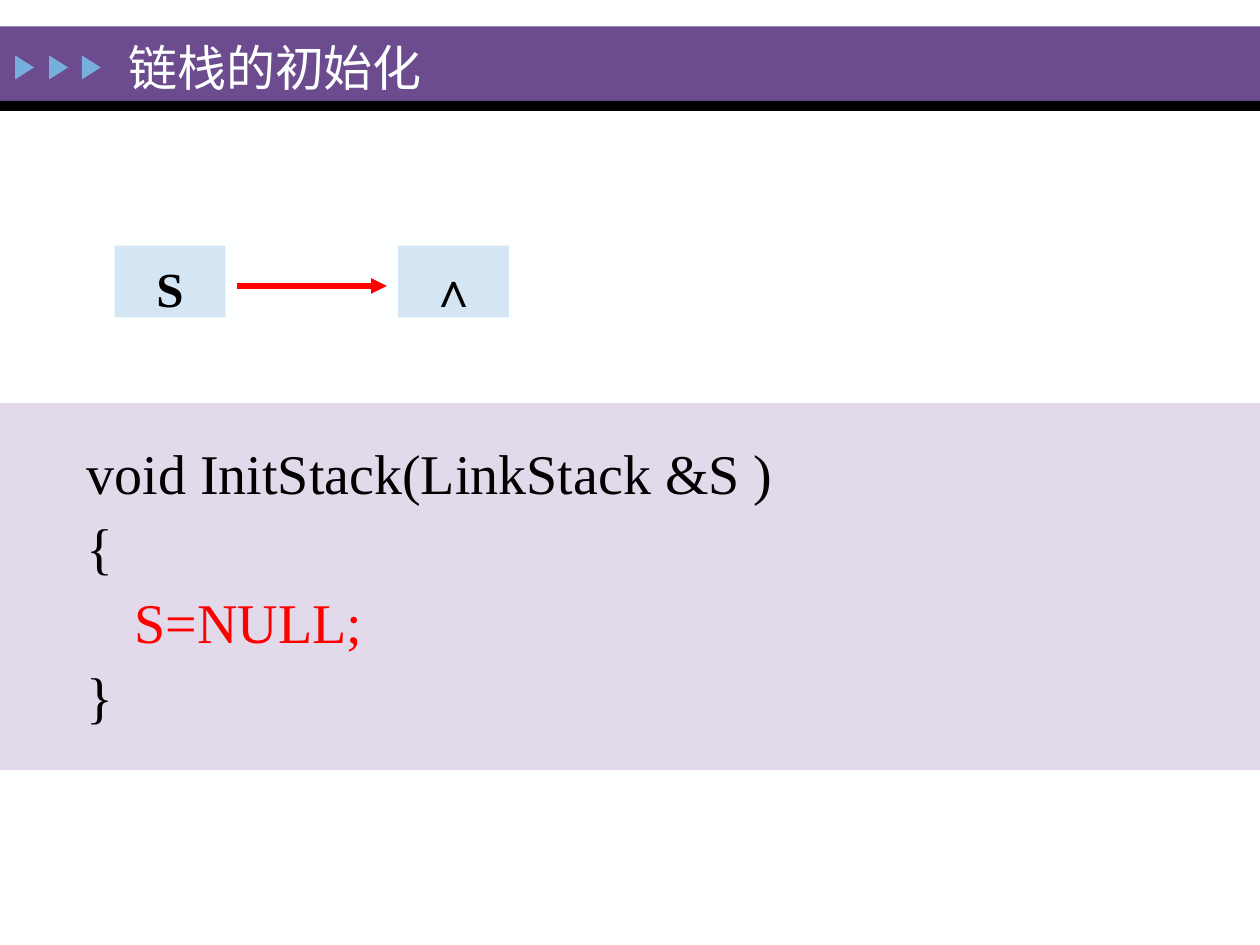
from pptx import Presentation
from pptx.dml.color import RGBColor
from pptx.enum.shapes import MSO_CONNECTOR, MSO_SHAPE
from pptx.enum.text import MSO_ANCHOR, PP_ALIGN
from pptx.oxml.ns import qn
from pptx.util import Inches, Pt
from lxml.etree import SubElement

FONT = "Times New Roman"
WHITE, BLACK, RED = "FEFFFF", "000000", "FF0000"
PURPLE, LILAC, SKY, PALE_BLUE = "6C4C8F", "E2D9EB", "76AEDD", "D4E6F4"


def color(hex_value):
    return RGBColor.from_string(hex_value)


class StackSlide:
    def __init__(self, presentation):
        self.slide = presentation.slides.add_slide(presentation.slide_layouts[6])
        background = self.slide.background.fill
        background.solid()
        background.fore_color.rgb = color(WHITE)

    def shape(self, left, top, width, height, fill, kind=MSO_SHAPE.RECTANGLE):
        block = self.slide.shapes.add_shape(
            kind, Inches(left), Inches(top), Inches(width), Inches(height))
        block.shadow.inherit = False
        block.fill.solid()
        block.fill.fore_color.rgb = color(fill)
        block.line.fill.background()
        return block

    def run(self, paragraph, text, size, hue, bold=False):
        run = paragraph.add_run()
        run.text = text
        run.font.name = FONT
        run.font.size = Pt(size)
        run.font.bold = bold
        run.font.color.rgb = color(hue)

    def text_box(self, left, top, width, height, anchor=MSO_ANCHOR.TOP):
        frame = self.slide.shapes.add_textbox(
            Inches(left), Inches(top), Inches(width), Inches(height)).text_frame
        frame.word_wrap = True
        frame.vertical_anchor = anchor
        return frame

    def node(self, left, top, label):
        frame = self.shape(left, top, 0.88, 0.57, PALE_BLUE).text_frame
        frame.vertical_anchor = MSO_ANCHOR.TOP
        frame.margin_top, frame.margin_bottom = Inches(0.1), 0
        paragraph = frame.paragraphs[0]
        paragraph.alignment = PP_ALIGN.CENTER
        self.run(paragraph, label, 28, BLACK, bold=True)

    def arrow(self, start, end, y):
        pointer = self.slide.shapes.add_connector(
            MSO_CONNECTOR.STRAIGHT, Inches(start), Inches(y), Inches(end), Inches(y))
        pointer.line.color.rgb = color(RED)
        pointer.line.width = Pt(3)
        SubElement(pointer.line._get_or_add_ln(), qn("a:tailEnd"), type="triangle")
        SubElement(pointer._element.spPr, qn("a:effectLst"))

    def code(self, left, top, width, height, lines):
        frame = self.text_box(left, top, width, height)
        for index, (text, hue, indent) in enumerate(lines):
            paragraph = frame.paragraphs[0] if index == 0 else frame.add_paragraph()
            paragraph.line_spacing = 0.9
            if index:
                paragraph.space_before = Pt(8)
            paragraph._p.get_or_add_pPr().set("marL", str(Inches(indent)))
            self.run(paragraph, text, 32, hue)


def main():
    presentation = Presentation()
    presentation.slide_width, presentation.slide_height = Inches(10), Inches(7.5)
    page = StackSlide(presentation)

    # Header band with three arrowheads and the title
    page.shape(0, 0.21, 10, 0.59, PURPLE)
    page.shape(0, 0.8, 10, 0.08, BLACK)
    for left in (0.1, 0.37, 0.63):
        page.shape(left, 0.46, 0.19, 0.15, SKY, MSO_SHAPE.ISOSCELES_TRIANGLE).rotation = 90
    title = page.text_box(0.92, 0.28, 7, 0.5, MSO_ANCHOR.MIDDLE)
    page.run(title.paragraphs[0], "链栈的初始化", 28, WHITE)

    # Empty linked stack: S points to null
    page.node(0.91, 1.95, "S")
    page.arrow(1.88, 3.07, 2.27)
    page.node(3.16, 1.95, "∧")

    # Initialisation code
    page.shape(0, 3.2, 10, 2.91, LILAC)
    page.code(0.59, 3.49, 7.12, 2.55, [
        ("void InitStack(LinkStack &S )", BLACK, 0),
        ("{", BLACK, 0),
        ("S=NULL;", RED, 0.38),
        ("}", BLACK, 0),
    ])

    presentation.save("out.pptx")


if __name__ == "__main__":
    main()
